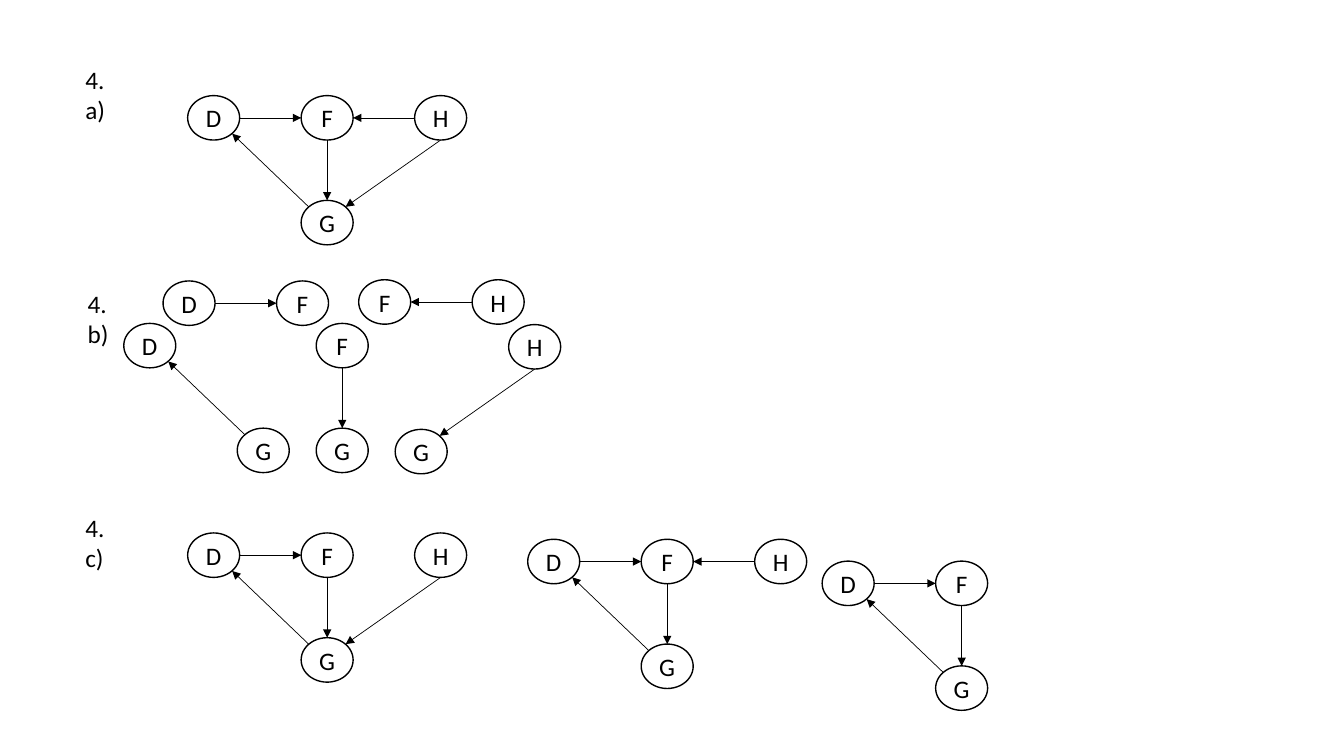
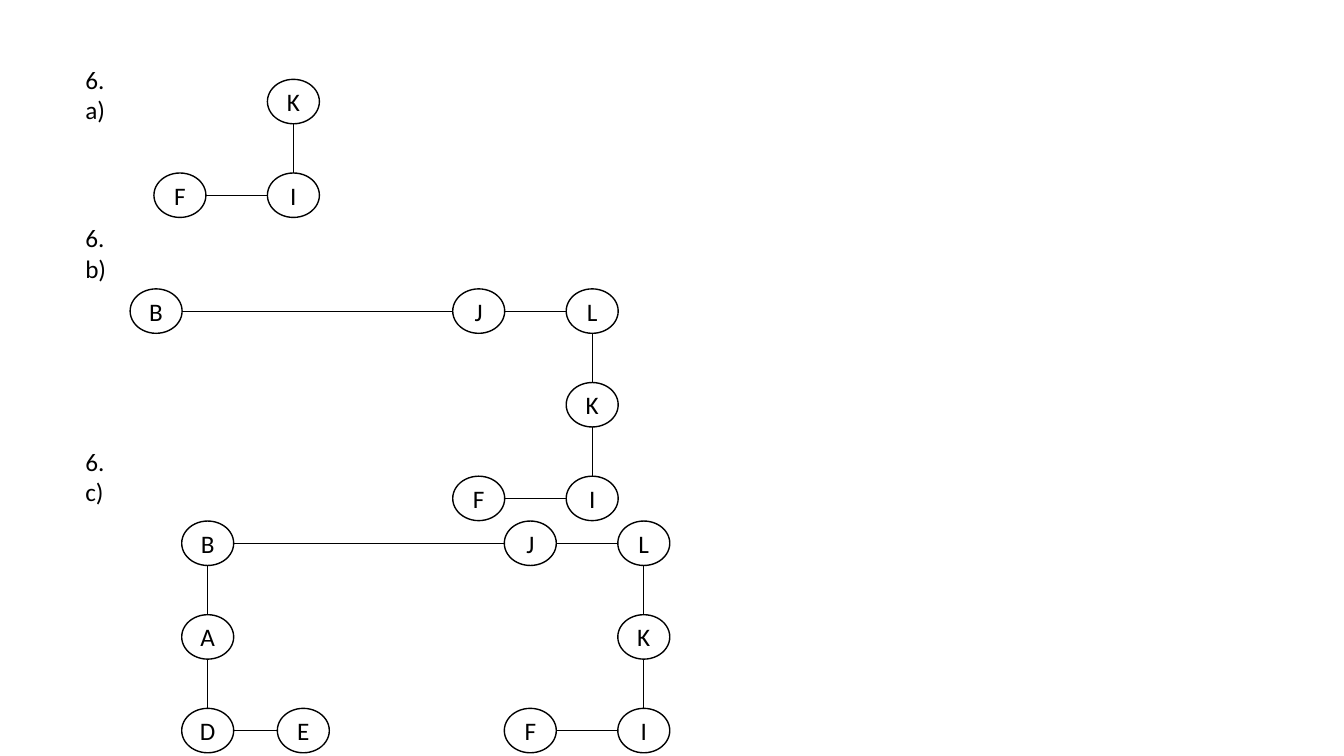
from lxml.etree import SubElement
from pptx import Presentation
from pptx.dml.color import RGBColor
from pptx.enum.shapes import MSO_CONNECTOR as Link, MSO_SHAPE as Shape
from pptx.enum.text import MSO_ANCHOR as Anchor, PP_ALIGN as Align
from pptx.oxml.ns import qn
from pptx.util import Cm, Pt

INK, PAPER = "000000", "FFFFFF"
WIDE, HIGH = 1.31, 1.12  # node size in cm
EVEN = (0, 2.86, 5.72)
RING = (0, 2.41, 8.13, 10.99)
CORNER = 0.71


def tint(code):
    return RGBColor.from_string(code)


def sign(value):
    return (value > 0) - (value < 0)


def rim(node, dx, dy):
    """Point on a node's outline in the direction dx, dy (each -1, 0 or 1)."""
    part = CORNER if dx and dy else 1
    return node[0] + dx * part * WIDE / 2, node[1] + dy * part * HIGH / 2


class Page:
    def __init__(self, deck, step, arrow):
        self.slide = deck.slides.add_slide(deck.slide_layouts[6])
        self.step = step
        self.arrow = arrow

    def style(self, para):
        font = para.font
        font.name, font.size = "Calibri", Pt(18)
        font.color.rgb = tint(INK)

    def label(self, x, y, *lines):
        box = self.slide.shapes.add_textbox(Cm(x), Cm(y), Cm(1.37), Cm(1.8))
        frame = box.text_frame
        frame.word_wrap = True
        frame.text = "\n".join(lines)
        for para in frame.paragraphs:
            self.style(para)

    def node(self, x, y, name):
        oval = self.slide.shapes.add_shape(
            Shape.OVAL, Cm(x), Cm(y), Cm(WIDE), Cm(HIGH))
        oval.shadow.inherit = False
        oval.fill.solid()
        oval.fill.fore_color.rgb = tint(PAPER)
        oval.line.color.rgb = tint(INK)
        oval.line.width = Pt(1)
        frame = oval.text_frame
        frame.margin_left = frame.margin_right = 0
        frame.margin_top = frame.margin_bottom = 0
        frame.vertical_anchor = Anchor.MIDDLE
        para = frame.paragraphs[0]
        para.text = name
        para.alignment = Align.CENTER
        self.style(para)

    def edge(self, start, end):
        """Join two node centres; a slanted edge going down leaves from the bottom."""
        dx, dy = sign(end[0] - start[0]), sign(end[1] - start[1])
        tail = rim(start, 0 if dy > 0 else dx, dy)
        head = rim(end, -dx, -dy)
        line = self.slide.shapes.add_connector(
            Link.STRAIGHT, *(Cm(v) for v in tail + head))
        line.line.color.rgb = tint(INK)
        line.line.width = Pt(0.5)
        props = line._element.spPr
        if self.arrow:
            SubElement(props.find(qn("a:ln")), qn("a:tailEnd"), type="triangle")
        SubElement(props, qn("a:effectLst"))

    def graph(self, x, y, cols, rows, edges):
        """Place one node per letter of rows; edges are pairs of letters."""
        spots = {}
        for i, row in enumerate(rows):
            for col, name in zip(cols, row):
                if name != " ":
                    left, top = x + col, y + i * self.step
                    spots[name] = left + WIDE / 2, top + HIGH / 2
                    self.node(left, top, name)
        for start, end in edges.split():
            self.edge(spots[start], spots[end])


def main():
    deck = Presentation()
    deck.slide_width, deck.slide_height = Cm(33.87), Cm(19.05)

    page = Page(deck, 2.64, True)
    page.label(1.9, 1.5, "4.", "a)")
    page.label(1.96, 7.14, "4.", "b)")
    page.label(1.9, 12.78, "4.", "c)")
    full = ("DFH", " G")
    for x, y, rows, edges in (
        (4.73, 2.41, full, "DF HF FG HG GD"),
        (4.11, 7.08, ("DF",), "DF"),
        (9.04, 7.05, ("FH",), "HF"),
        (3.12, 8.15, ("D", " G"), "GD"),
        (7.97, 8.15, ("F", "G"), "FG"),
        (9.96, 8.18, (" H", "G"), "HG"),
        (4.73, 13.43, full, "DF FG HG GD"),
        (13.3, 13.59, full, "DF HF FG GD"),
        (20.72, 14.14, ("DF", " G"), "DF FG GD"),
    ):
        page.graph(x, y, EVEN, rows, edges)

    page = Page(deck, 2.36, False)
    page.label(1.9, 1.5, "6.", "a)")
    page.label(1.9, 5.49, "6.", "b)")
    page.label(1.9, 11.12, "6.", "c)")
    arm = "BJ JL LK KI FI"
    page.graph(3.88, 2, EVEN, (" K", "FI"), "KI FI")
    page.graph(3.28, 7.28, RING, ("B JL", "   K", "  FI"), arm)
    page.graph(4.58, 13.13, RING, ("B JL", "A  K", "DEFI"), arm + " BA AD DE")

    deck.save("out.pptx")


if __name__ == "__main__":
    main()
